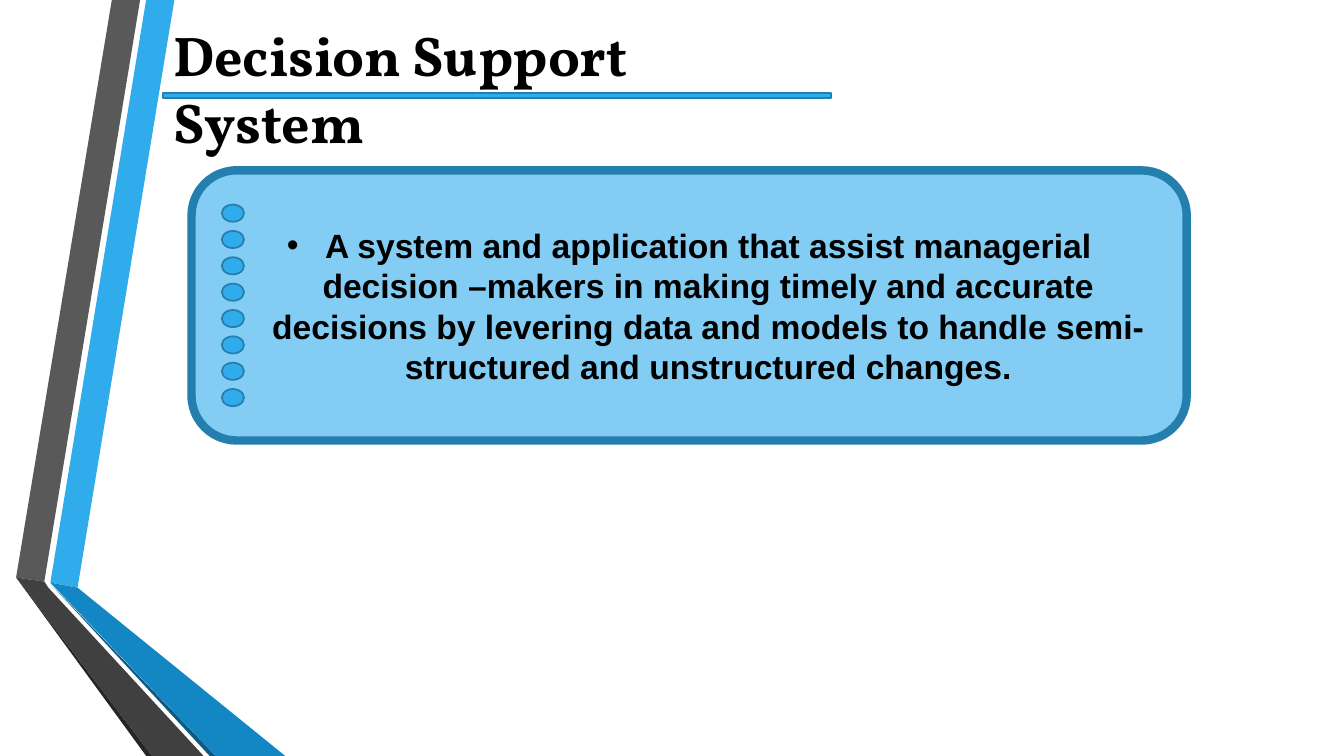
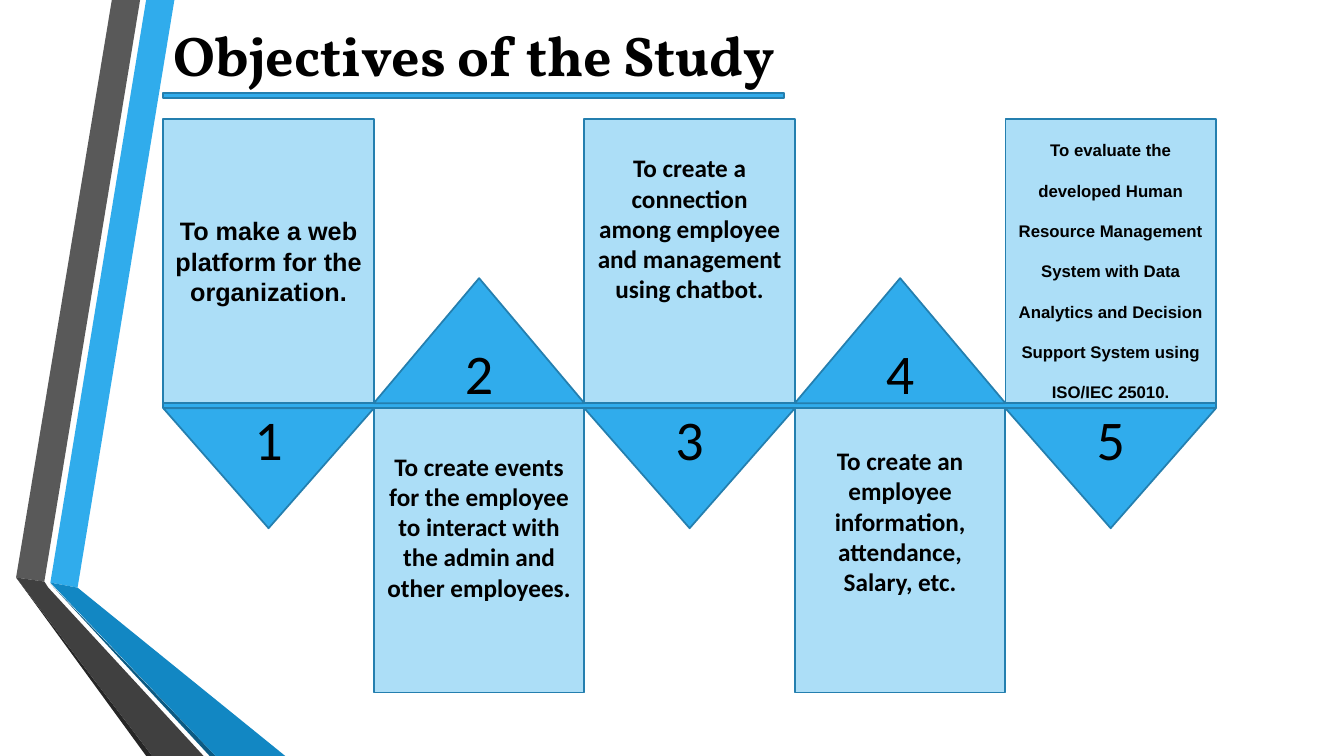
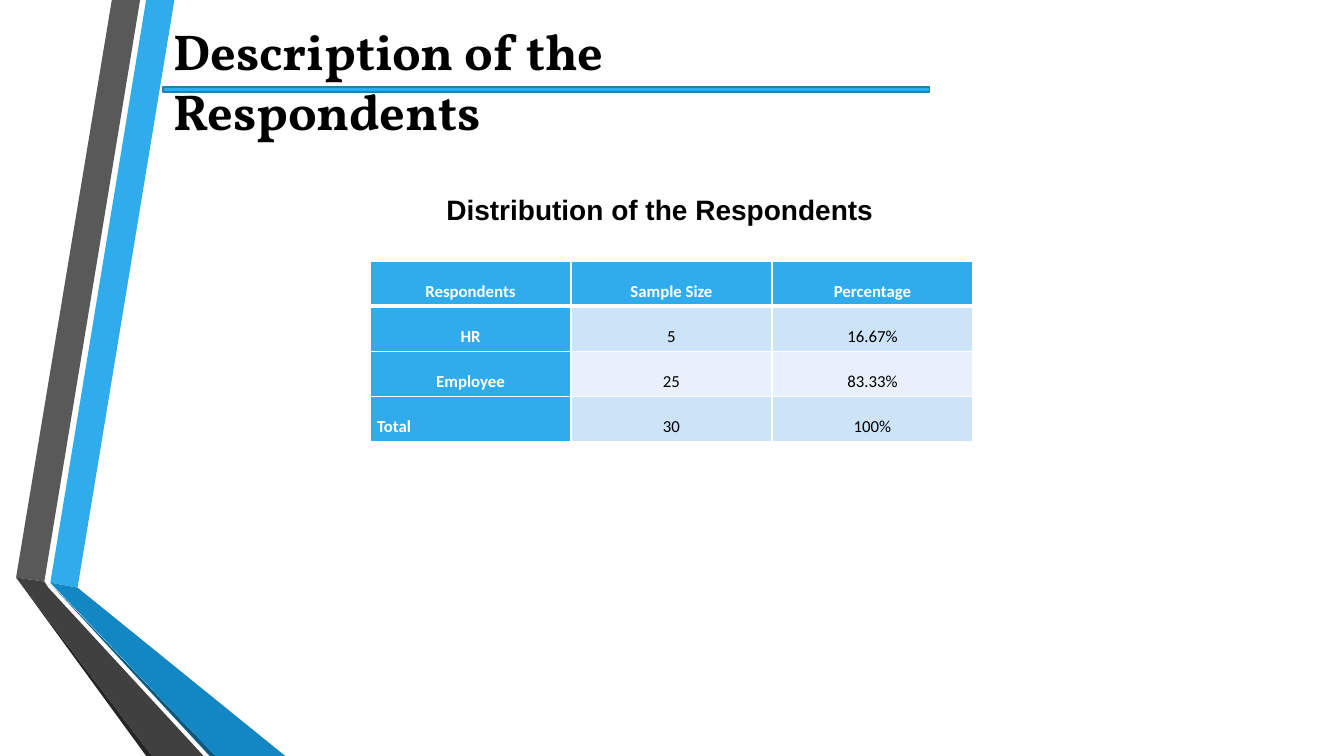
from lxml import etree
from pptx import Presentation, util as u
from pptx.dml.color import RGBColor
from pptx.enum import shapes, text
from pptx.oxml.ns import qn

C = dict(sky="30ACEC", edge="247FAF", card="83CDF4", pale="ACDEF7", black="000000", white="FFFFFF",
         gray="595959", night="262626", navy="0C5A82", ocean="1287C3", coal="404040",
         odd="CDE3F8", even="E8F1FB")
W, H = 13.33, 7.5
LEFT = 1.62
BAR = 0.05
KIND = shapes.MSO_SHAPE
ALIGN = text.PP_ALIGN

RIBBONS = [
    ("sky", [(0.5, 5.78), (0.77, 5.83), (1.73, 0), (1.45, 0)]),
    ("gray", [(1.39, 0), (1.11, 0), (0.16, 5.73), (0.44, 5.77)]),
    ("night", [(0.16, 5.73), (1.45, H), (1.51, H)]),
    ("navy", [(0.5, 5.79), (2.08, H), (2.14, H)]),
    ("ocean", [(0.5, 5.78), (2.14, H), (2.83, H), (0.77, 5.83)]),
    ("coal", [(2.02, H), (0.48, 5.83), (0.44, 5.77), (0.16, 5.73), (1.51, H)]),
]

DEFINITION = ("A system and application that assist managerial decision –makers in making timely and accurate "
              "decisions by levering data and models to handle semi-structured and unstructured changes.")

OBJECTIVES = [
    dict(words="To make a web platform for the organization.", font="Arial"),
    dict(words="To create events for the employee to interact with the admin and other employees.", bottom=0.52),
    dict(words="To create a connection among employee and management using chatbot.", bottom=0.7),
    dict(words="To create an employee information, attendance, Salary, etc.", bottom=0.63),
    dict(words="To evaluate the developed Human Resource Management System with Data Analytics and "
               "Decision Support System using ISO/IEC 25010.", font="Arial", size=12, spacing=2),
]

RESPONDENTS = [
    ("Respondents", "Sample Size", "Percentage"),
    ("HR", "5", "16.67%"),
    ("Employee", "25", "83.33%"),
    ("Total", "30", "100%"),
]


def rgb(name):
    return RGBColor.from_string(C[name])


def write(p, words, font, size, bold=True, color="black", align=ALIGN.CENTER, spacing=None):
    p.alignment = align
    if spacing:
        p.line_spacing = spacing
    r = p.add_run()
    r.text = words
    r.font.name, r.font.size, r.font.bold = font, u.Pt(size), bold
    r.font.color.rgb = rgb(color)


def shape(s, kind, x, y, w, h, fill="sky", line=1.25):
    sp = s.shapes.add_shape(kind, *map(u.Inches, (x, y, w, h)))
    sp.shadow.inherit = False
    sp.fill.solid()
    sp.fill.fore_color.rgb = rgb(fill)
    sp.line.color.rgb = rgb("edge")
    sp.line.width = u.Pt(line)
    sp.text_frame.word_wrap = True
    sp.text_frame.vertical_anchor = text.MSO_ANCHOR.MIDDLE
    return sp


def textbox(s, x, y, w, h, words, font, size, align):
    tf = s.shapes.add_textbox(*map(u.Inches, (x, y, w, h))).text_frame
    tf.word_wrap = True
    tf.auto_size = text.MSO_AUTO_SIZE.SHAPE_TO_FIT_TEXT
    write(tf.paragraphs[0], words, font, size, align=align)


def new_slide(prs, title, rule_width, size=40, width=6.7, height=0.77):
    s = prs.slides.add_slide(prs.slide_layouts[6])
    for color, points in RIBBONS:
        start, *rest = [(u.Inches(x), u.Inches(y)) for x, y in points]
        builder = s.shapes.build_freeform(*start)
        builder.add_line_segments(rest)
        sp = builder.convert_to_shape()
        sp.shadow.inherit = False
        sp.fill.solid()
        sp.fill.fore_color.rgb = rgb(color)
        sp.line.fill.background()
    shape(s, KIND.RECTANGLE, LEFT, 0.15 + height, rule_width, BAR)
    textbox(s, LEFT, 0.15, width, height, title, "Vollkorn", size, ALIGN.LEFT)
    return s


def definition_slide(prs):
    s = new_slide(prs, "Decision Support System", 6.62)
    tf = shape(s, KIND.ROUNDED_RECTANGLE, 1.9, 1.69, 9.87, 2.68, "card", 6).text_frame
    tf.margin_left = tf.margin_right = u.Inches(0.15)
    p = tf.paragraphs[0]
    write(p, DEFINITION, "Arial", 24)
    pPr = p._p.get_or_add_pPr()
    pPr.set("marL", str(u.Inches(0.38)))
    pPr.set("indent", str(-u.Inches(0.38)))
    etree.SubElement(pPr, qn("a:buFont"), typeface="Arial")
    etree.SubElement(pPr, qn("a:buChar"), char="•")
    for i in range(8):
        shape(s, KIND.OVAL, 2.2, 2.03 + i * 1.83 / 7, 0.22, 0.17)


def objectives_slide(prs):
    s = new_slide(prs, "Objectives of the Study", 6.16)
    axis, span = 4, 10.44
    col, box, up, down = span / len(OBJECTIVES), 2.82, 1.24, 1.19
    shape(s, KIND.RECTANGLE, LEFT, axis, span, BAR)
    for i, item in enumerate(OBJECTIVES):
        x, above = LEFT + i * col, i % 2 == 0
        below = axis + BAR
        tf = shape(s, KIND.RECTANGLE, x, axis - box if above else below, col, box, "pale").text_frame
        tf.margin_bottom = u.Inches(item.get("bottom", 0.05))
        write(tf.paragraphs[0], item["words"], item.get("font", "Calibri"), item.get("size", 18),
              spacing=item.get("spacing"))
        if above:
            sp = shape(s, KIND.FLOWCHART_MERGE, x, below, col, down)
        else:
            sp = shape(s, KIND.ISOSCELES_TRIANGLE, x, axis - up, col, up)
        write(sp.text_frame.paragraphs[0], str(i + 1), "Calibri", 40, bold=False)


def borders(cell, widths):
    tcPr = cell._tc.get_or_add_tcPr()
    for side, width in widths.items():
        ln = etree.SubElement(tcPr, qn("a:ln" + side), w=str(u.Pt(width)))
        fill = etree.SubElement(ln, qn("a:solidFill"))
        etree.SubElement(fill, qn("a:srgbClr"), val=C["white"])


def respondents_slide(prs):
    s = new_slide(prs, "Description of the Respondents", 7.6, 36, 7.51, 0.71)
    textbox(s, 3.21, 1.86, 6.67, 0.44, "Distribution of the Respondents", "Arial", 20, ALIGN.CENTER)
    rows, cols = len(RESPONDENTS), len(RESPONDENTS[0])
    table = s.shapes.add_table(rows, cols, *map(u.Inches, (3.67, 2.59, 5.98, 1.79))).table
    for i, record in enumerate(RESPONDENTS):
        for j, words in enumerate(record):
            cell = table.cell(i, j)
            head = i == 0 or j == 0
            borders(cell, dict(L=1, R=1, T=3 if i == 1 else 1, B=3 if i == 0 else 1))
            cell.fill.solid()
            cell.fill.fore_color.rgb = rgb("sky" if head else "odd" if i % 2 else "even")
            cell.margin_left = cell.margin_right = u.Inches(0.07)
            cell.margin_top = cell.margin_bottom = 0
            write(cell.text_frame.paragraphs[0], words, "Calibri", 12, head, "white" if head else "black",
                  ALIGN.JUSTIFY if words == "Total" else ALIGN.CENTER, 2)


def main():
    prs = Presentation()
    prs.slide_width, prs.slide_height = u.Inches(W), u.Inches(H)
    definition_slide(prs)
    objectives_slide(prs)
    respondents_slide(prs)
    prs.save("out.pptx")


if __name__ == "__main__":
    main()
